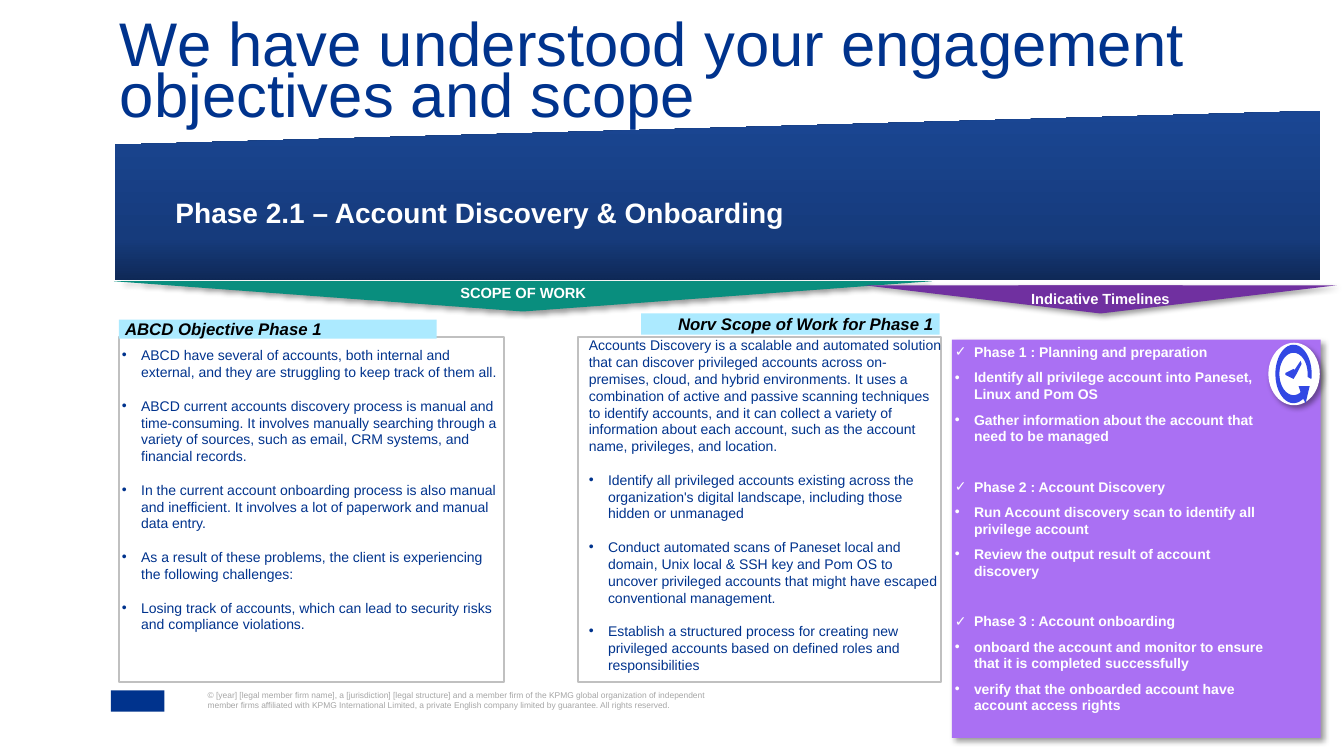
from dataclasses import dataclass
from math import cos, radians, sin

from lxml import etree
from pptx import Presentation
from pptx import util as u
from pptx.dml.color import RGBColor
from pptx.enum import shapes, text
from pptx.oxml.ns import qn

KIND = shapes.MSO_SHAPE
ALIGN = text.PP_ALIGN
ANCHOR = text.MSO_ANCHOR


@dataclass(frozen=True)
class Theme:
    font: str = "Arial"
    navy: str = "00338D"
    green: str = "098E7E"
    plum: str = "7030A0"
    lilac: str = "AA70F3"
    sky: str = "ACEAFF"
    clock: str = "3248E4"
    frame: str = "C0C0C0"
    grey: str = "A6A6A6"
    white: str = "FFFFFF"
    black: str = "000000"
    band: tuple = ((0, "0F2957"), (25, "163B7C"), (100, "1A4693"))
    title: float = 44
    phase: float = 20
    head: float = 12
    label: float = 10.5
    body: float = 10
    note: float = 6


class Deck:
    def __init__(self, theme):
        self.theme = theme
        self.prs = Presentation()
        self.prs.slide_width = u.Inches(13.33)
        self.prs.slide_height = u.Inches(7.5)
        self.slide = self.prs.slides.add_slide(self.prs.slide_layouts[4])
        self.pool = {p.placeholder_format.idx: p for p in self.slide.placeholders}

    def holder(self, idx, box):
        """Place a placeholder in front of everything drawn so far."""
        item = self.pool.pop(idx)
        item.left, item.top, item.width, item.height = map(u.Inches, box)
        self.slide.shapes._spTree.append(item._element)
        return item

    def frame(self, item, pad=(0, 0, 0, 0), anchor=ANCHOR.TOP):
        area = item.text_frame
        area.word_wrap = True
        area.auto_size = text.MSO_AUTO_SIZE.NONE
        area.vertical_anchor = anchor
        (area.margin_left, area.margin_top,
         area.margin_right, area.margin_bottom) = map(u.Inches, pad)
        return area

    def run(self, para, words, size, color, bold=False, italic=False):
        piece = para.add_run()
        piece.text = words
        font = piece.font
        font.name, font.size = self.theme.font, u.Pt(size)
        font.bold, font.italic = bold, italic
        font.color.rgb = RGBColor.from_string(color)

    def label(self, item, words, size, color, pad=(0, 0, 0, 0),
              anchor=ANCHOR.TOP, align=ALIGN.LEFT, line=1.0, **style):
        para = self.frame(item, pad, anchor).paragraphs[0]
        para.alignment, para.line_spacing = align, line
        self.run(para, words, size, color, **style)

    def paint(self, item, fill=None, line=None, shadow=False):
        item.shadow.inherit = False
        if fill:
            item.fill.solid()
            item.fill.fore_color.rgb = RGBColor.from_string(fill)
        else:
            item.fill.background()
        if line:
            item.line.color.rgb = RGBColor.from_string(line)
            item.line.width = u.Pt(1.5)
        else:
            item.line.fill.background()
        if shadow:
            glow = etree.SubElement(
                item._element.spPr.find(qn("a:effectLst")), qn("a:outerShdw"),
                blurRad=str(u.Pt(4)), dist=str(u.Pt(3)), dir="2700000",
                algn="tl", rotWithShape="0")
            tint = etree.SubElement(glow, qn("a:srgbClr"), val=self.theme.black)
            etree.SubElement(tint, qn("a:alpha"), val="40000")
        return item

    def shape(self, kind, box, **look):
        item = self.slide.shapes.add_shape(kind, *map(u.Inches, box))
        return self.paint(item, **look)

    def textbox(self, box):
        return self.slide.shapes.add_textbox(*map(u.Inches, box))

    def fade(self, item, stops):
        """Fill with a vertical gradient whose first stop is at the bottom."""
        item.fill.gradient()
        item.fill.gradient_angle = 90
        group = item._element.spPr.find(qn("a:gradFill")).find(qn("a:gsLst"))
        for old in list(group):
            group.remove(old)
        for place, color in stops:
            stop = etree.SubElement(group, qn("a:gs"), pos=str(place * 1000))
            etree.SubElement(stop, qn("a:srgbClr"), val=color)

    def outline(self, points, fill):
        spots = [(u.Inches(x), u.Inches(y)) for x, y in points]
        pen = self.slide.shapes.build_freeform(*spots[0], scale=1.0)
        pen.add_line_segments(spots[1:], close=True)
        self.paint(pen.convert_to_shape(), fill=fill)

    def bullets(self, idx, box, rows, color, bold=False):
        """Fill a body placeholder from rows of (bullet, words, before, after)."""
        area = self.frame(self.holder(idx, box))
        for n, (mark, words, before, after) in enumerate(rows):
            para = area.add_paragraph() if n else area.paragraphs[0]
            props = para._p.get_or_add_pPr()
            step = u.Inches(0.19) if mark else 0
            props.set("marL", str(step))
            props.set("indent", str(-step))
            if mark:
                etree.SubElement(props, qn("a:buChar"), char=mark)
            else:
                etree.SubElement(props, qn("a:buNone"))
            para.alignment, para.line_spacing = ALIGN.LEFT, 1.0
            para.space_before = u.Pt(before if n else 0)
            para.space_after = u.Pt(after)
            self.run(para, words, self.theme.body, color, bold)

    def save(self):
        for spare in self.pool.values():
            spare._element.getparent().remove(spare._element)
        self.prs.save("out.pptx")


GOALS = (
    "ABCD have several of accounts, both internal and external, and they are struggling to keep track of them all.",
    "ABCD current accounts discovery process is manual and time-consuming. It involves manually searching through a variety of sources, such as email, CRM systems, and financial records.",
    "In the current account onboarding process is also manual and inefficient. It involves a lot of paperwork and manual data entry.",
    "As a result of these problems, the client is experiencing the following challenges:",
    "Losing track of accounts, which can lead to security risks and compliance violations.",
)
INTRO = "Accounts Discovery is a scalable and automated solution that can discover privileged accounts across on-premises, cloud, and hybrid environments. It uses a combination of active and passive scanning techniques to identify accounts, and it can collect a variety of information about each account, such as the account name, privileges, and location."
SCOPE = (
    "Identify all privileged accounts existing across the organization's digital landscape, including those hidden or unmanaged",
    "Conduct automated scans of Paneset local and domain, Unix local & SSH key and Pom OS to uncover privileged accounts that might have escaped conventional management.",
    "Establish a structured process for creating new privileged accounts based on defined roles and responsibilities",
)
PHASES = {
    "Phase 1 : Planning and preparation": (
        "Identify all privilege account into Paneset, Linux and Pom OS",
        "Gather information about the account that need to be managed"),
    "Phase 2 : Account Discovery": (
        "Run Account discovery scan to identify all privilege account",
        "Review the output result of account discovery"),
    "Phase 3 : Account onboarding": (
        "onboard the account and monitor to ensure that it is completed successfully",
        "verify that the onboarded account have account access rights"),
}
RIGHTS = "© [year] [legal member firm name], a [jurisdiction] [legal structure] and a member firm of the KPMG global organization of independent member firms affiliated with KPMG International Limited, a private English company limited by guarantee. All rights reserved."


def arc(rx, ry, start, stop, step):
    return [(12.83 + rx * cos(radians(a)), 3.71 + ry * sin(radians(a)))
            for a in range(start, stop, step)]


def main():
    t = Theme()
    d = Deck(t)
    d.label(d.textbox((2.06, 6.85, 5.06, 0.2)), RIGHTS, t.note, t.grey)
    d.shape(KIND.RECTANGLE, (1.1, 6.85, 0.53, 0.21), fill=t.navy)

    band = d.shape(KIND.FLOWCHART_MANUAL_INPUT, (1.14, 1.1, 11.95, 1.68))
    d.fade(band, t.band)
    d.label(band, "Phase 2.1 – Account Discovery & Onboarding", t.phase, t.white,
            (0.6, 0.05, 0.1, 0.05), ANCHOR.MIDDLE, bold=True)

    for box, fill in (((1.13, 2.79, 8.11, 0.3), t.green),
                      ((8.57, 2.83, 4.69, 0.28), t.plum)):
        d.shape(KIND.ISOSCELES_TRIANGLE, box, fill=fill, shadow=True).rotation = 180
    tag = d.shape(KIND.RECTANGLE, (10.1, 2.83, 1.63, 0.15), fill=t.plum)
    for item, words in ((d.textbox((3.78, 2.77, 2.82, 0.19)), "SCOPE OF WORK"),
                        (tag, "Indicative Timelines")):
        d.label(item, words, t.label, t.white, (0.05,) * 4,
                align=ALIGN.CENTER, bold=True)

    d.shape(KIND.RECTANGLE, (9.44, 3.37, 3.66, 3.95), fill=t.lilac, shadow=True)
    d.shape(KIND.OVAL, (12.58, 3.4, 0.51, 0.62), fill=t.white, shadow=True)
    tip = [(12.95, 4), (12.99, 3.83), (12.88, 3.83), (12.9, 3.89)]
    d.outline(arc(0.18, 0.29, 10, -305, -6) + tip
              + arc(0.14, 0.21, -298, 11, 6), t.clock)
    d.outline([(12.91, 3.61), (12.86, 3.71), (12.83, 3.76), (12.75, 3.72),
               (12.75, 3.7), (12.83, 3.66), (12.84, 3.67), (12.9, 3.58)], t.clock)

    for left, width, head, words, align in (
            (1.18, 3.82, (1.18, 3.17, 3.15, 0.19), "ABCD Objective Phase 1", ALIGN.LEFT),
            (5.73, 3.6, (6.36, 3.11, 2.96, 0.21), "Norv Scope of Work for Phase 1", ALIGN.RIGHT)):
        d.shape(KIND.RECTANGLE, (left, 3.34, width, 3.43), line=t.frame)
        d.label(d.shape(KIND.RECTANGLE, head, fill=t.sky), words, t.head, t.black,
                (0.06,) * 4, ANCHOR.MIDDLE, align, bold=True, italic=True)

    d.label(d.holder(0, (1.19, 0.47, 11.16, 0.58)),
            "We have understood your engagement objectives and scope",
            t.title, t.navy, anchor=ANCHOR.MIDDLE, line=0.7)
    d.bullets(2, (1.21, 3.44, 3.77, 3.2), [("•", g, 12, 0) for g in GOALS], t.navy)
    d.bullets(4, (5.84, 3.34, 3.5, 3.4),
              [("", INTRO, 0, 0)] + [("•", s, 12, 0) for s in SCOPE], t.navy)
    plan = []
    for phase, tasks in PHASES.items():
        plan += [("✓", phase, 18, 6)] + [("•", job, 0, 6) for job in tasks]
    d.bullets(3, (9.47, 3.41, 3.14, 3.75), plan, t.white, bold=True)
    d.save()


if __name__ == "__main__":
    main()
